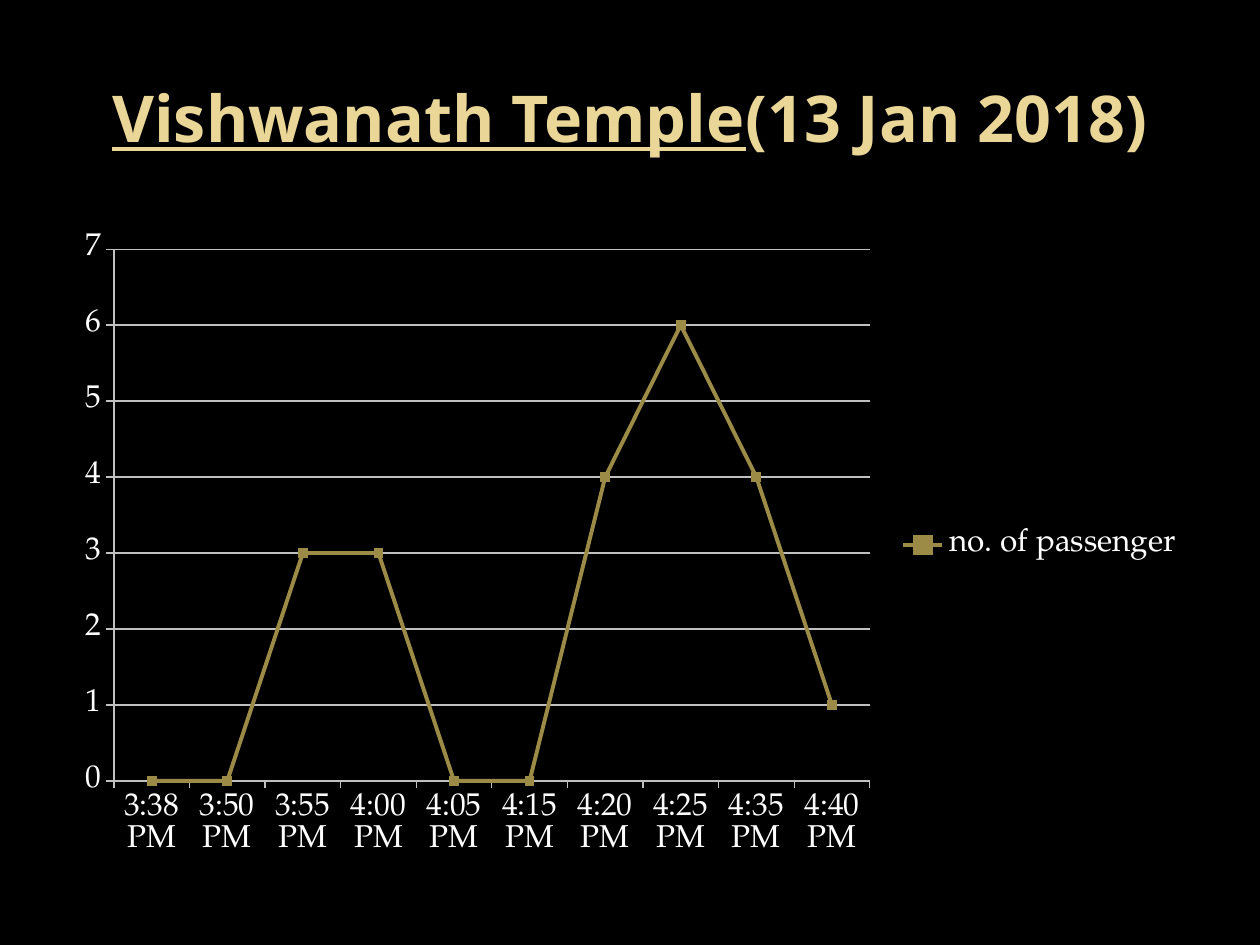
from pptx import Presentation
from pptx.chart.data import CategoryChartData
from pptx.dml.color import RGBColor
from pptx.enum.chart import XL_CHART_TYPE, XL_LEGEND_POSITION, XL_MARKER_STYLE, XL_TICK_MARK
from pptx.enum.text import MSO_ANCHOR, PP_ALIGN
from pptx.util import Pt

PASSENGERS = {
    "3:38 PM": 0, "3:50 PM": 0, "3:55 PM": 3, "4:00 PM": 3, "4:05 PM": 0,
    "4:15 PM": 0, "4:20 PM": 4, "4:25 PM": 6, "4:35 PM": 4, "4:40 PM": 1,
}


def color(hex_code):
    return RGBColor.from_string(hex_code)


class SlideBuilder:
    """Holds the style and the slide being filled."""

    background, title_color, text_color = "000000", "EAD696", "FFFFFF"
    series_color, grid_color = "9C8A47", "C0C0C0"
    title_font, body_font = "Open Sans", "TeX Gyre Pagella"

    def __init__(self, slide):
        self.slide = slide
        fill = slide.background.fill
        fill.solid()
        fill.fore_color.rgb = color(self.background)

    def title(self, underlined, rest, box):
        frame = self.slide.shapes.add_textbox(*map(Pt, box)).text_frame
        frame.word_wrap = True
        frame.vertical_anchor = MSO_ANCHOR.MIDDLE
        heading = frame.paragraphs[0]
        heading.alignment = PP_ALIGN.CENTER
        for words, underline in ((underlined, True), (rest, False)):
            run = heading.add_run()
            run.text = words
            font = run.font
            font.name, font.size, font.bold = self.title_font, Pt(36.9), True
            font.color.rgb = color(self.title_color)
            font.underline = underline

    def line_chart(self, name, values, box):
        data = CategoryChartData()
        data.categories = list(values)
        data.add_series(name, list(values.values()))
        chart = self.slide.shapes.add_chart(
            XL_CHART_TYPE.LINE_MARKERS_STACKED, *map(Pt, box), data).chart
        chart.has_title = False
        chart.font.name, chart.font.size = self.body_font, Pt(18)
        chart.font.color.rgb = color(self.text_color)
        chart.has_legend = True
        chart.legend.position = XL_LEGEND_POSITION.RIGHT
        chart.legend.include_in_layout = False
        self.style_axes(chart)
        self.style_series(chart.plots[0])

    def style_axes(self, chart):
        count_axis = chart.value_axis
        count_axis.minimum_scale, count_axis.maximum_scale = 0, 7
        count_axis.major_unit = 1
        count_axis.has_major_gridlines = True
        for axis in (chart.category_axis, count_axis):
            axis.major_tick_mark = XL_TICK_MARK.OUTSIDE
            axis.minor_tick_mark = XL_TICK_MARK.NONE
        for ruled in (chart.category_axis, count_axis, count_axis.major_gridlines):
            ruled.format.line.color.rgb = color(self.grid_color)
            ruled.format.line.width = Pt(0.75)

    def style_series(self, plot):
        plot.vary_by_categories = False
        series = plot.series[0]
        series.smooth = False
        series.format.line.color.rgb = color(self.series_color)
        series.format.line.width = Pt(2.25)
        marker = series.marker
        marker.style, marker.size = XL_MARKER_STYLE.SQUARE, 5
        marker.format.fill.solid()
        marker.format.fill.fore_color.rgb = color(self.series_color)
        marker.format.line.color.rgb = color(self.series_color)


def main():
    deck = Presentation()
    deck.slide_width, deck.slide_height = Pt(720), Pt(540)
    builder = SlideBuilder(deck.slides.add_slide(deck.slide_layouts[6]))
    builder.title("Vishwanath Temple", "(13 Jan 2018)", (36, 21.6, 648, 90))
    builder.line_chart("no. of passenger", PASSENGERS, (36, 126, 648, 370.8))
    deck.save("out.pptx")


if __name__ == "__main__":
    main()
